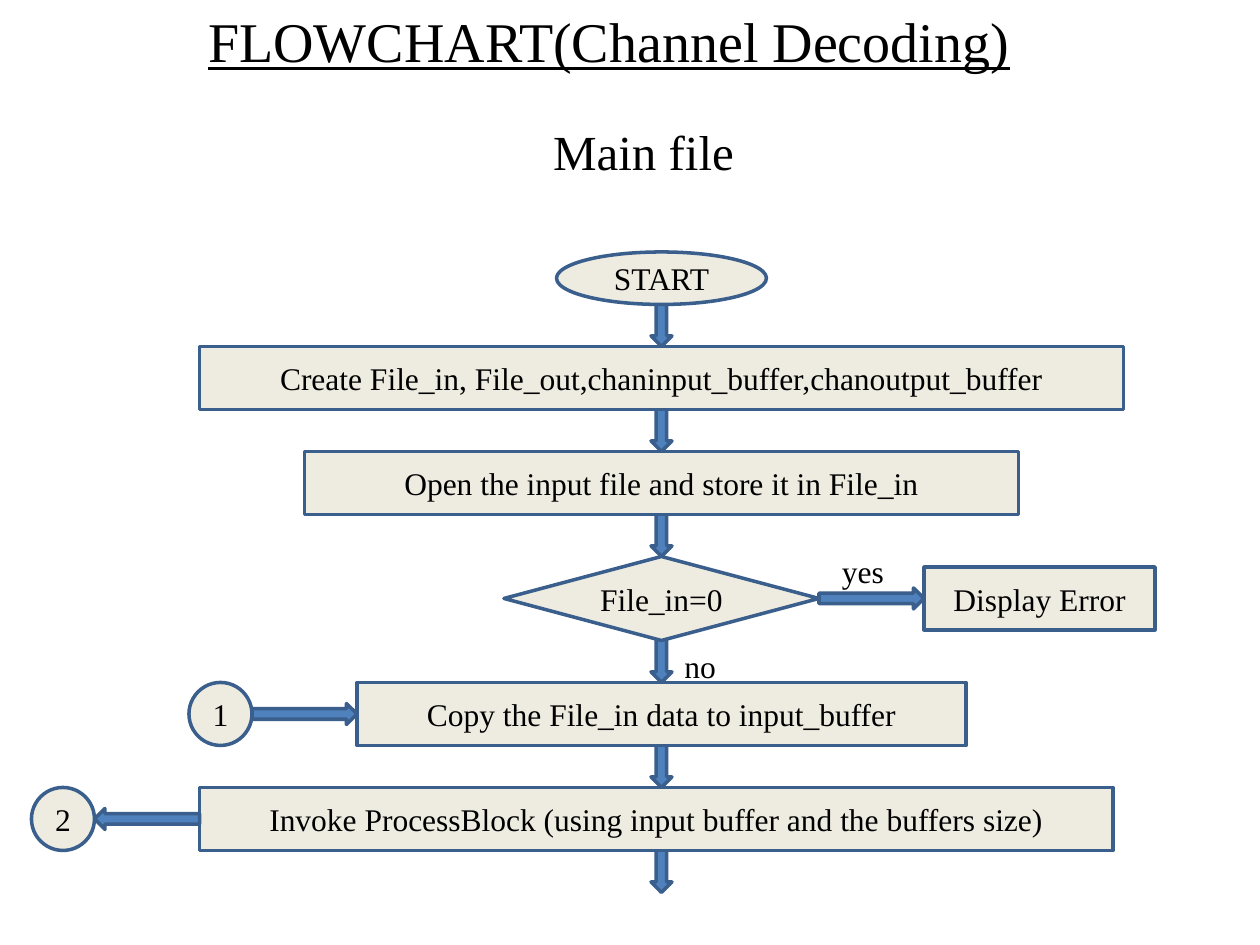
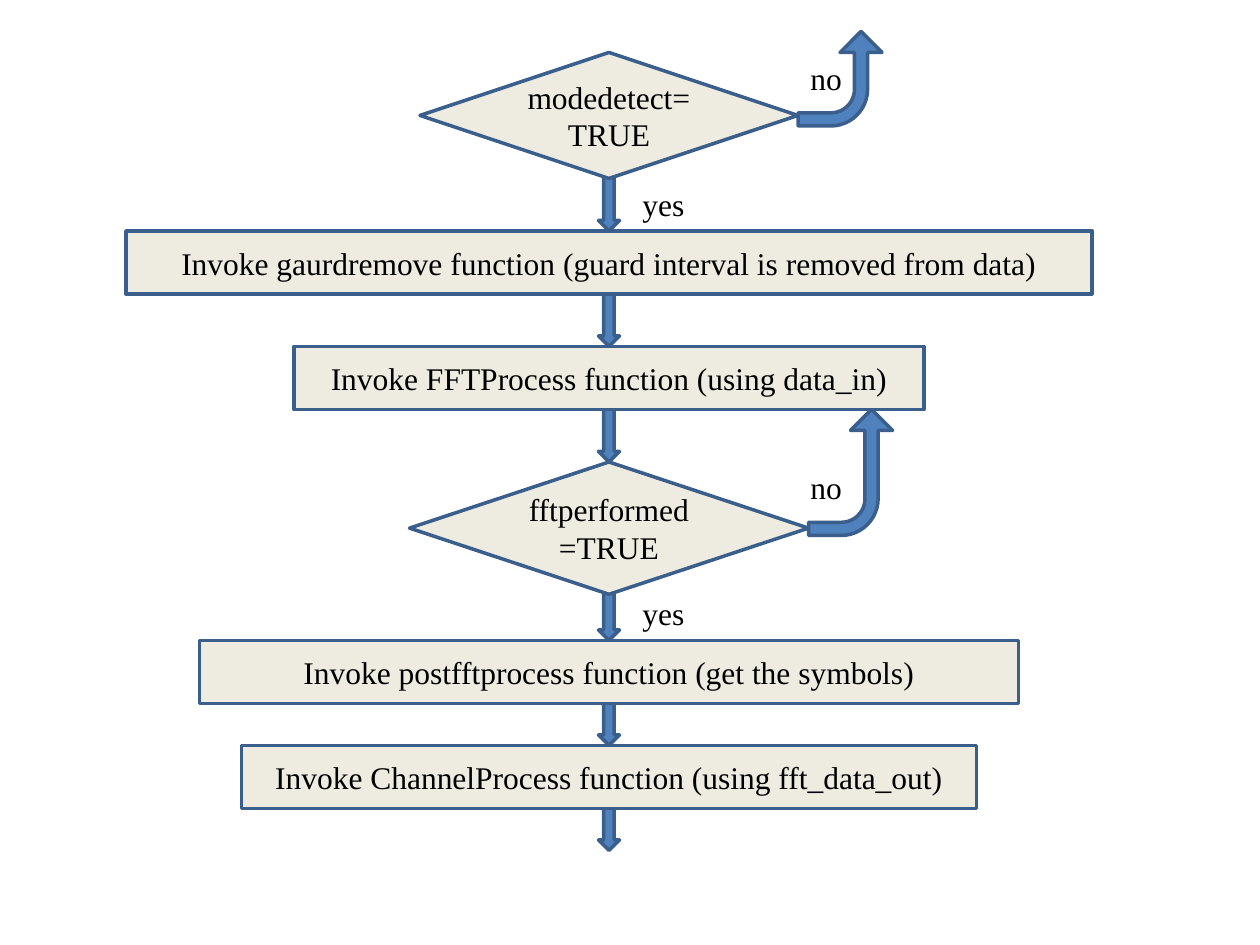
"""Build two flowchart slides for channel decoding."""
from pptx import Presentation
from pptx.dml.color import RGBColor
from pptx.enum.shapes import MSO_SHAPE
from pptx.enum.text import MSO_ANCHOR, MSO_AUTO_SIZE, PP_ALIGN
from pptx.util import Inches, Pt

RECT, OVAL, DIAMOND = MSO_SHAPE.RECTANGLE, MSO_SHAPE.OVAL, MSO_SHAPE.DIAMOND
DOWN, LEFT, RIGHT = MSO_SHAPE.DOWN_ARROW, MSO_SHAPE.LEFT_ARROW, MSO_SHAPE.RIGHT_ARROW
BENT = MSO_SHAPE.BENT_ARROW
CENTER, START = PP_ALIGN.CENTER, PP_ALIGN.LEFT
TOP, MIDDLE = MSO_ANCHOR.TOP, MSO_ANCHOR.MIDDLE
FONT = "Times New Roman"
COLORS = {"text": "000000", "box": "EEECE1", "arrow": "4F81BD", "line": "3A5F8C"}
CELL = Inches(1) / 12
ARROW = 6


def write(shape, text, size=18, align=CENTER, anchor=MIDDLE):
    frame = shape.text_frame
    frame.word_wrap = True
    frame.auto_size = MSO_AUTO_SIZE.NONE
    frame.vertical_anchor = anchor
    frame.text = text
    par = frame.paragraphs[0]
    par.alignment = align
    par.font.name = FONT
    par.font.size = Pt(size)
    par.font.color.rgb = RGBColor.from_string(COLORS["text"])
    return par


def draw(slide, kind, grid, fill, text=""):
    shape = slide.shapes.add_shape(kind, *[round(n * CELL) for n in grid])
    shape.shadow.inherit = False
    shape.fill.solid()
    shape.fill.fore_color.rgb = RGBColor.from_string(COLORS[fill])
    shape.line.color.rgb = RGBColor.from_string(COLORS["line"])
    shape.line.width = Pt(2)
    if text:
        write(shape, text)
    return shape


deck = Presentation()
deck.slide_width, deck.slide_height = Inches(10), Inches(7.5)
main = deck.slides.add_slide(deck.slide_layouts[5])
modes = deck.slides.add_slide(deck.slide_layouts[6])

title = main.shapes.title
title.left, title.top, title.width, title.height = [
    round(n * CELL) for n in (12, 0, 92, 7.68)]
write(title, "FLOWCHART(Channel Decoding)", 32, anchor=TOP).font.underline = True

# (kind, text, top, width, height) for each step of a flow
flows = [
    (main, 63, 85, [
        (OVAL, "START", 24, 20, 5),
        (RECT, "Create File_in, File_out,chaninput_buffer,chanoutput_buffer", 33, 88, 6),
        (RECT, "Open the input file and store it in File_in", 43, 68, 6),
        (DIAMOND, "File_in=0", 53, 30, 8),
        (RECT, "Copy the File_in data to input_buffer", 65, 58, 6),
        (RECT, "Invoke ProcessBlock (using input buffer and the buffers size)", 75, 87, 6),
    ]),
    (modes, 58, 81, [
        (DIAMOND, "modedetect=TRUE", 5, 36, 12),
        (RECT, "Invoke gaurdremove function (guard interval is removed from data)", 22, 92, 6),
        (RECT, "Invoke FFTProcess function (using data_in)", 33, 60, 6),
        (DIAMOND, "fftperformed=TRUE", 44, 38, 12.6),
        (RECT, "Invoke postfftprocess function (get the symbols)", 61, 78, 6),
        (RECT, "Invoke ChannelProcess function (using fft_data_out)", 71, 70, 6),
    ]),
]
for slide, mid, end, steps in flows:
    for tip in [step[2] for step in steps[1:]] + [end]:
        draw(slide, DOWN, (mid - 1, tip - ARROW, 2, ARROW), "arrow")
    for kind, text, top, width, height in steps:
        draw(slide, kind, (mid - (width + 1) // 2, top, width, height), "box", text)

for kind, left, top in [(RIGHT, 78, 56), (RIGHT, 24, 67), (LEFT, 9, 77)]:
    draw(main, kind, (left, top, 10, 2), "arrow")
draw(main, RECT, (88, 54, 22, 6), "box", "Display Error")
for text, left, top in [("1", 18, 65), ("2", 3, 75)]:
    draw(main, OVAL, (left, top, 6, 6), "box", text)

for left, top, length in [(75.5, 3.5, 9), (75, 41, 12)]:
    bend = draw(modes, BENT, (left, top, length, 8), "arrow")
    bend.rotation = 270
    bend.element.spPr.xfrm.set("flipV", "1")
    for spot, share in enumerate((0.156, 0.25, 0.25, 0.438)):
        bend.adjustments[spot] = share

labels = [
    (main, "Main file", 51.5, 11, 26, 28),
    (main, "yes", 79, 52, 9, 18),
    (main, "no", 64, 61, 9, 18),
    (modes, "yes", 60, 17, 9, 18),
    (modes, "no", 76, 5, 9, 18),
    (modes, "yes", 60, 56, 9, 18),
    (modes, "no", 76, 44, 9, 18),
]
for slide, text, left, top, width, size in labels:
    grid = (left, top, width, size * 0.25)
    box = slide.shapes.add_textbox(*[round(n * CELL) for n in grid])
    write(box, text, size, START, TOP)

deck.save("out.pptx")
